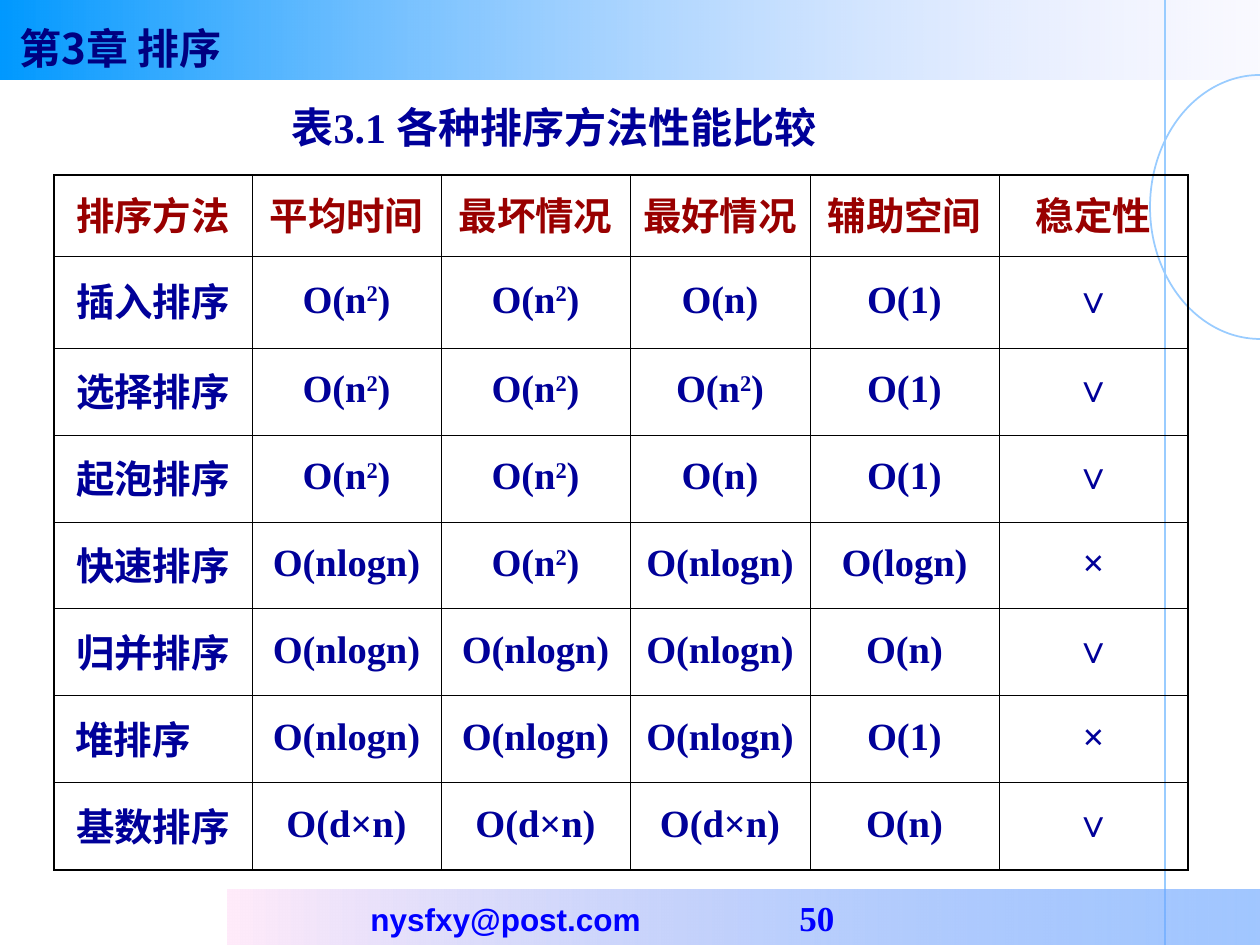
import pptx
import pptx.util
import pptx.dml.color
import pptx.enum.shapes
import pptx.enum.text
import pptx.oxml
import pptx.oxml.ns
from lxml import etree

RGBColor = pptx.dml.color.RGBColor
MSO_SHAPE = pptx.enum.shapes.MSO_SHAPE
PP_ALIGN = pptx.enum.text.PP_ALIGN
MSO_ANCHOR = pptx.enum.text.MSO_ANCHOR

# Content
CHAPTER = "第3章 排序"
TITLE = "表3.1 各种排序方法性能比较"
EMAIL = "nysfxy@post.com"
PAGE = "50"
ROWS = [
    ["排序方法", "平均时间", "最坏情况", "最好情况", "辅助空间", "稳定性"],
    ["插入排序", "O(n²)", "O(n²)", "O(n)", "O(1)", "∨"],
    ["选择排序", "O(n²)", "O(n²)", "O(n²)", "O(1)", "∨"],
    ["起泡排序", "O(n²)", "O(n²)", "O(n)", "O(1)", "∨"],
    ["快速排序", "O(nlogn)", "O(n²)", "O(nlogn)", "O(logn)", "×"],
    ["归并排序", "O(nlogn)", "O(nlogn)", "O(nlogn)", "O(n)", "∨"],
    [" 堆排序", "O(nlogn)", "O(nlogn)", "O(nlogn)", "O(1)", "×"],
    ["基数排序", "O(d×n)", "O(d×n)", "O(d×n)", "O(n)", "∨"],
]
COLUMN_WIDTHS = [198, 189, 189, 180, 189, 189]
ROW_HEIGHTS = [81, 92] + [87] * 6

# Format
NAVY = RGBColor(0x00, 0x00, 0x80)
INK = RGBColor(0x00, 0x00, 0x99)
DARK_RED = RGBColor(0x99, 0x00, 0x00)
BLUE = RGBColor(0x00, 0x00, 0xFF)
SKY = RGBColor(0x00, 0x99, 0xFF)
LAVENDER = RGBColor(0xCC, 0xCC, 0xFF)
PINK = RGBColor(0xFF, 0xEB, 0xFA)
AZURE = RGBColor(0x5E, 0x9E, 0xFF)
PALE_BLUE = RGBColor(0x99, 0xCC, 0xFF)
BLACK = RGBColor(0x00, 0x00, 0x00)
SERIF, SANS, CHINESE = "Times New Roman", "Arial", "Noto Sans CJK SC"
THIN, THICK = 0.45, 1.08
EMU_PER_PX = 914400 / 126


def px(*lengths):
    return [pptx.util.Emu(round(length * EMU_PER_PX)) for length in lengths]


def write_text(frame, text, size, color, font=SERIF, align=PP_ALIGN.LEFT, spacing=1.0):
    """Write one bold paragraph, with ² set as a raised 2."""
    paragraph = frame.paragraphs[0]
    paragraph.alignment = align
    paragraph.line_spacing = spacing
    before, square, after = text.partition("²")
    for part in filter(None, (before, square, after)):
        run = paragraph.add_run()
        run.text = "2" if part == "²" else part
        run.font.size = pptx.util.Pt(size)
        run.font.bold = True
        run.font.name = font
        run.font.color.rgb = color
        properties = run.font._element
        east_asian = etree.SubElement(properties, pptx.oxml.ns.qn("a:ea"))
        east_asian.set("typeface", CHINESE)
        if part == "²":
            properties.set("baseline", "30000")


def add_text_box(slide, box, text, **text_format):
    frame = slide.shapes.add_textbox(*px(*box)).text_frame
    frame.word_wrap = True
    write_text(frame, text, **text_format)


def add_band(slide, box, stops):
    """Add a bar whose (color, opacity percent) stops run left to right."""
    band = slide.shapes.add_shape(MSO_SHAPE.RECTANGLE, *px(*box))
    band.shadow.inherit = False
    band.line.fill.background()
    band.fill.gradient()
    band.fill.gradient_angle = 0
    for stop, position, (color, opacity) in zip(band.fill.gradient_stops, (0, 1), stops):
        stop.position = position
        stop.color.rgb = color
        color_element = stop._gs.find(pptx.oxml.ns.qn("a:srgbClr"))
        alpha = etree.SubElement(color_element, pptx.oxml.ns.qn("a:alpha"))
        alpha.set("val", str(opacity * 1000))


def set_borders(cell, widths):
    """Insert the left, right, top and bottom lines ahead of the fill."""
    properties = cell._tc.get_or_add_tcPr()
    for index, (side, width) in enumerate(zip("LRTB", widths)):
        line = pptx.oxml.parse_xml(
            f'<a:ln{side} {pptx.oxml.ns.nsdecls("a")} w="{pptx.util.Pt(width)}">'
            f'<a:solidFill><a:srgbClr val="{BLACK}"/></a:solidFill></a:ln{side}>')
        properties.insert(index, line)


def add_decoration(slide):
    add_band(slide, (0, 0, 1260, 80), [(SKY, 100), (LAVENDER, 10)])

    # Half ring against the right edge
    arc = slide.shapes.add_shape(MSO_SHAPE.ARC, *px(1150, 75, 220, 264))
    arc.adjustments[0], arc.adjustments[1] = 54, 162  # 90 and 270 degrees
    arc.shadow.inherit = False
    arc.fill.background()
    arc.line.color.rgb = PALE_BLUE
    arc.line.width = pptx.util.Pt(1)

    # Vertical rule
    rule = slide.shapes.add_connector(
        pptx.enum.shapes.MSO_CONNECTOR.STRAIGHT, *px(1165, 0, 1165, 945))
    rule.line.color.rgb = PALE_BLUE
    rule.line.width = pptx.util.Pt(1.5)
    etree.SubElement(rule._element.spPr, pptx.oxml.ns.qn("a:effectLst"))

    add_band(slide, (228, 890, 1032, 55), [(PINK, 100), (AZURE, 58)])


def add_comparison_table(slide):
    box = px(54, 175, sum(COLUMN_WIDTHS), sum(ROW_HEIGHTS))
    table = slide.shapes.add_table(len(ROWS), len(COLUMN_WIDTHS), *box).table
    table.first_row = table.horz_banding = False
    for column, width in zip(table.columns, COLUMN_WIDTHS):
        column.width = px(width)[0]
    for row, height in zip(table.rows, ROW_HEIGHTS):
        row.height = px(height)[0]

    last_row, last_column = len(ROWS) - 1, len(COLUMN_WIDTHS) - 1
    for r, texts in enumerate(ROWS):
        for c, text in enumerate(texts):
            cell = table.cell(r, c)
            cell.fill.background()
            cell.vertical_anchor = MSO_ANCHOR.MIDDLE
            outer = (c == 0, c == last_column, r == 0, r == last_row)
            set_borders(cell, [THICK if edge else THIN for edge in outer])
            write_text(cell.text_frame, text, size=22, spacing=0.9,
                       color=DARK_RED if r == 0 else INK,
                       align=PP_ALIGN.LEFT if text.startswith(" ") else PP_ALIGN.CENTER)


def main():
    presentation = pptx.Presentation()
    presentation.slide_width, presentation.slide_height = px(1260, 945)
    slide = presentation.slides.add_slide(presentation.slide_layouts[5])
    add_decoration(slide)

    # Chapter and title
    add_text_box(slide, (7, 16, 300, 62), CHAPTER, size=24, color=NAVY, font=CHINESE)
    title = slide.shapes.title
    title.left, title.top, title.width, title.height = px(279, 95, 640, 63)
    title.text_frame.word_wrap = True
    title.text_frame.vertical_anchor = MSO_ANCHOR.TOP
    write_text(title.text_frame, TITLE, size=24, color=INK)

    add_comparison_table(slide)

    # Footer
    add_text_box(slide, (358, 894, 360, 50), EMAIL, size=18, color=BLUE, font=SANS)
    add_text_box(slide, (787, 890, 90, 52), PAGE, size=20, color=BLUE)
    presentation.save("out.pptx")


if __name__ == "__main__":
    main()
